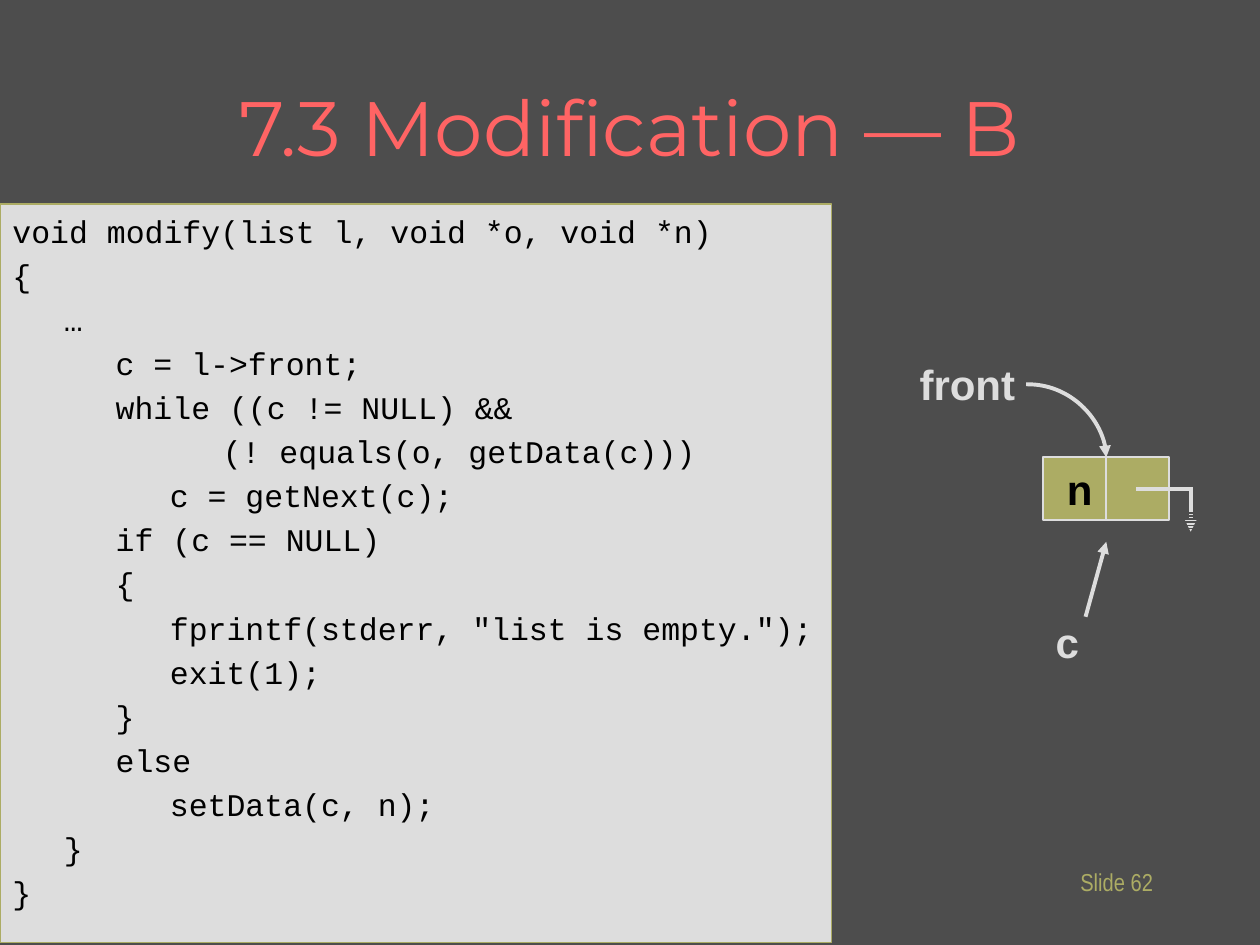
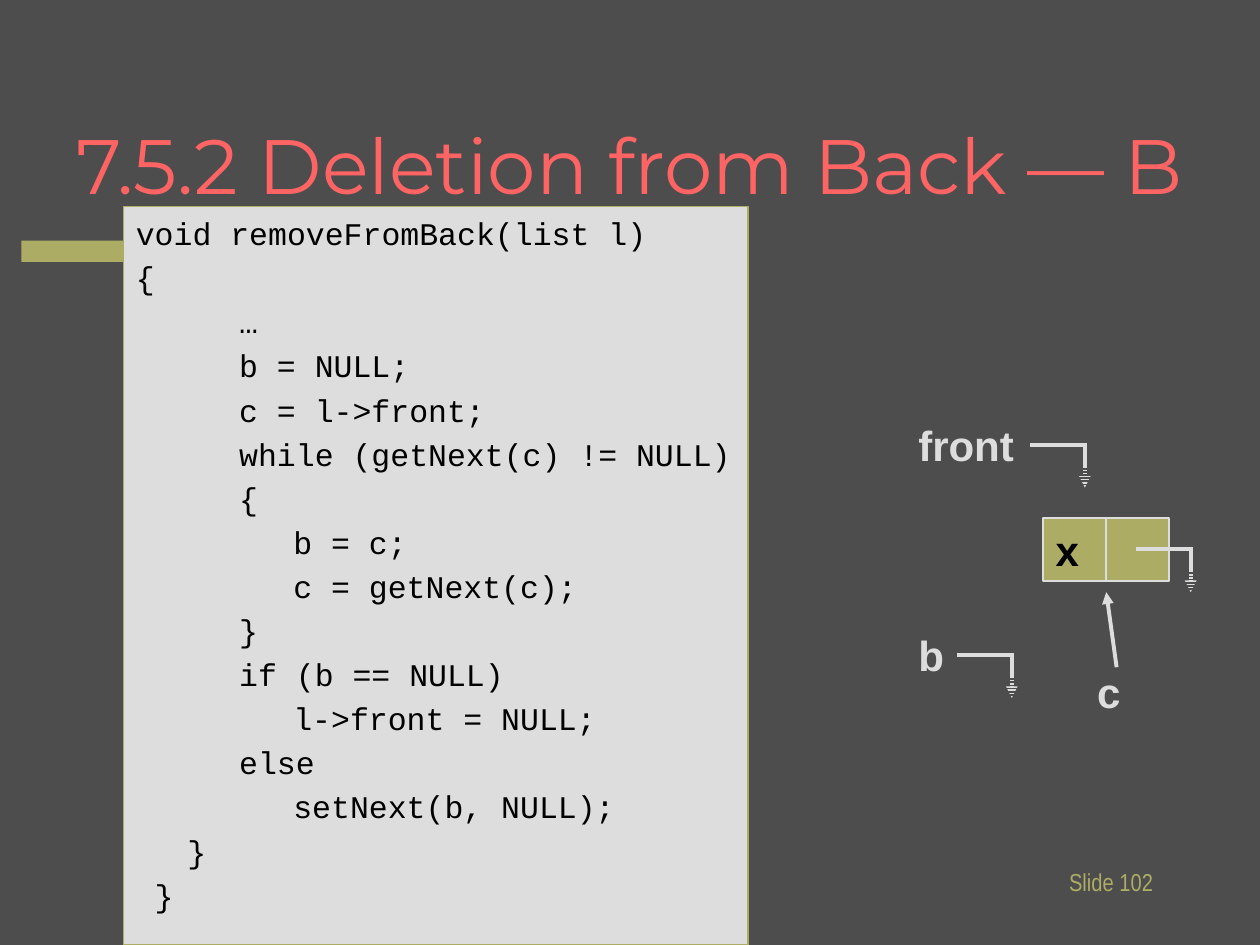
from lxml import etree
from pptx import Presentation
from pptx.dml.color import RGBColor
from pptx.enum.shapes import MSO_CONNECTOR, MSO_SHAPE
from pptx.enum.text import MSO_ANCHOR, PP_ALIGN
from pptx.oxml.ns import qn
from pptx.util import Inches, Pt

GREY = RGBColor(0x4D, 0x4D, 0x4D)
LIGHT = RGBColor(0xDD, 0xDD, 0xDD)
OLIVE = RGBColor(0xAC, 0xAC, 0x64)
CORAL = RGBColor(0xFF, 0x64, 0x64)
BLACK = RGBColor(0, 0, 0)

RECT = MSO_SHAPE.RECTANGLE
STRAIGHT, CURVE = MSO_CONNECTOR.STRAIGHT, MSO_CONNECTOR.CURVE
LEFT, CENTER, RIGHT = PP_ALIGN.LEFT, PP_ALIGN.CENTER, PP_ALIGN.RIGHT
TOP, MIDDLE = MSO_ANCHOR.TOP, MSO_ANCHOR.MIDDLE

TITLE_FONT = {"name": "Montserrat", "size": Pt(44)}
FOOTER_FONT = {"name": "Arial Narrow", "size": Pt(14)}
CODE_FONT = {"name": "Courier New", "size": Pt(18)}
LABEL_FONT = {"name": "Arial", "size": Pt(24), "bold": True}

FOOTER_BOX = (7.17, 6.75, 2.08, 0.5)
BAND_BOX = (0.17, 1.91, 5.17, 0.17)
TAB_STOPS = (0.41, 0.82, 1.25, 1.67)
CELL = 0.5
LINK_WIDTH, THIN = 2.25, 1
GROUND_RUN, GROUND_DROP = 0.42, 0.34
STRIPE_WIDTH, STRIPE_START, STRIPE_COUNT = 0.25, 0.19, 6

# Code lines are (tab level, text); labels are (text, left, top);
# arrows are (x1, y1, x2, y2); grounds are the (x, y) where a null link starts.
SLIDES = [
    {
        "title": "7.3 Modification — B",
        "title_box": (0.75, 0.37, 8.5, 1.25),
        "footer": "Slide 62",
        "band": False,
        "code_box": (0, 1.62, 6.6, 5.86),
        "code": [
            (0, "void modify(list l, void *o, void *n)"),
            (0, "{"),
            (1, "…"),
            (2, "c = l->front;"),
            (2, "while ((c != NULL) &&"),
            (4, "(! equals(o, getData(c)))"),
            (3, "c = getNext(c);"),
            (2, "if (c == NULL)"),
            (2, "{"),
            (3, 'fprintf(stderr, "list is empty.");'),
            (3, "exit(1);"),
            (2, "}"),
            (2, "else"),
            (3, "setData(c, n);"),
            (1, "}"),
            (0, "}"),
        ],
        "node": (8.28, 3.63),
        "node_label": ("n", 8.37, 3.63),
        "labels": [("front", 7.2, 2.8), ("c", 8.28, 4.84)],
        "arrows": [(8.62, 4.88, 8.78, 4.3)],
        "curves": [(8.16, 3.05, 8.78, 3.63)],
        "grounds": [(9.03, 3.88)],
    },
    {
        "title": "7.5.2 Deletion from Back — B",
        "title_box": (0, 0.67, 10, 1.25),
        "footer": "Slide 102",
        "band": True,
        "code_box": (0.98, 1.64, 4.96, 5.86),
        "code": [
            (0, "void removeFromBack(list l)"),
            (0, "{"),
            (2, "…"),
            (2, "b = NULL;"),
            (2, "c = l->front;"),
            (2, "while (getNext(c) != NULL)"),
            (2, "{"),
            (3, "b = c;"),
            (3, "c = getNext(c);"),
            (2, "}"),
            (2, "if (b == NULL)"),
            (3, "l->front = NULL;"),
            (2, "else"),
            (3, "setNext(b, NULL);"),
            (1, "}"),
            (0, " }"),
        ],
        "node": (8.28, 4.11),
        "node_label": ("x", 8.28, 4.11),
        "labels": [("front", 7.19, 3.28), ("b", 7.19, 4.95), ("c", 8.61, 5.24)],
        "arrows": [(8.86, 5.28, 8.78, 4.7)],
        "curves": [],
        "grounds": [(9.03, 4.36), (8.19, 3.53), (7.61, 5.2)],
    },
]


def inches(values):
    return [Inches(v) for v in values]


def add_run(p, text, font, color):
    r = p.add_run()
    r.text = text
    for name, value in font.items():
        setattr(r.font, name, value)
    r.font.color.rgb = color


def add_text(s, text, box, font, color, align=LEFT, anchor=TOP, wrap=True):
    tf = s.shapes.add_textbox(*inches(box)).text_frame
    tf.word_wrap = wrap
    tf.vertical_anchor = anchor
    p = tf.paragraphs[0]
    p.alignment = align
    add_run(p, text, font, color)


def add_rect(s, box, fill, line):
    sp = s.shapes.add_shape(RECT, *inches(box))
    sp.shadow.inherit = False
    sp.fill.solid()
    sp.fill.fore_color.rgb = fill
    sp.line.color.rgb = line
    sp.line.width = Pt(THIN)
    return sp


def add_line(s, ends, color=LIGHT, width=LINK_WIDTH, arrow=False, kind=STRAIGHT):
    sp = s.shapes.add_connector(kind, *inches(ends))
    sp.line.color.rgb = color
    sp.line.width = Pt(width)
    spPr = sp._element.spPr
    ln = spPr.find(qn("a:ln"))
    ln.set("cap", "sq")
    if arrow:
        etree.SubElement(ln, qn("a:tailEnd"), type="triangle")
    if kind == CURVE:
        # A quarter bend: leaves sideways and arrives from above
        spPr.find(qn("a:prstGeom")).set("prst", "curvedConnector2")
    etree.SubElement(spPr, qn("a:effectLst"))


def add_ground(s, x, y):
    """Null link: a bent line whose arrowhead is cut into bars by stripes."""
    end = x + GROUND_RUN
    add_line(s, (x, y, end, y))
    add_line(s, (end, y, end, y + GROUND_DROP), arrow=True)
    left = end - STRIPE_WIDTH / 2
    for i in range(STRIPE_COUNT):
        stripe_y = y + STRIPE_START + i * STRIPE_WIDTH / 10
        add_line(s, (left, stripe_y, left + STRIPE_WIDTH, stripe_y), GREY, THIN)


def add_code(s, box, lines):
    tf = add_rect(s, box, LIGHT, OLIVE).text_frame
    tf.word_wrap = True
    tf.vertical_anchor = TOP
    tf.margin_top, tf.margin_right = Inches(0.06), 0
    for i, (level, text) in enumerate(lines):
        p = tf.add_paragraph() if i else tf.paragraphs[0]
        p.alignment = LEFT
        if i:
            p.space_before = Pt(3.6)
        tabs = etree.SubElement(p._p.get_or_add_pPr(), qn("a:tabLst"))
        for stop in TAB_STOPS:
            etree.SubElement(tabs, qn("a:tab"), pos=str(Inches(stop)), algn="l")
        add_run(p, "\t" * level + text, CODE_FONT, BLACK)


def add_label(s, label, color):
    text, x, y = label
    width = 0.96 if len(text) > 1 else 0.4
    add_text(s, text, (x, y, width, 0.5), LABEL_FONT, color, wrap=False)


def add_diagram(s, data):
    x, y = data["node"]
    add_rect(s, (x, y, 2 * CELL, CELL), OLIVE, LIGHT)
    add_line(s, (x + CELL, y, x + CELL, y + CELL), width=THIN)
    add_label(s, data["node_label"], BLACK)
    for label in data["labels"]:
        add_label(s, label, LIGHT)
    for ends in data["arrows"]:
        add_line(s, ends, arrow=True)
    for ends in data["curves"]:
        add_line(s, ends, arrow=True, kind=CURVE)
    for start in data["grounds"]:
        add_ground(s, *start)


def add_slide(prs, data):
    s = prs.slides.add_slide(prs.slide_layouts[6])
    s.background.fill.solid()
    s.background.fill.fore_color.rgb = GREY
    if data["band"]:
        add_rect(s, BAND_BOX, OLIVE, OLIVE).line.fill.background()
    add_text(s, data["footer"], FOOTER_BOX, FOOTER_FONT, OLIVE, RIGHT, MIDDLE)
    add_text(s, data["title"], data["title_box"], TITLE_FONT, CORAL, CENTER, MIDDLE)
    add_diagram(s, data)
    add_code(s, data["code_box"], data["code"])


def main():
    prs = Presentation()
    prs.slide_width, prs.slide_height = Inches(10), Inches(7.5)
    for data in SLIDES:
        add_slide(prs, data)
    prs.save("out.pptx")


if __name__ == "__main__":
    main()
